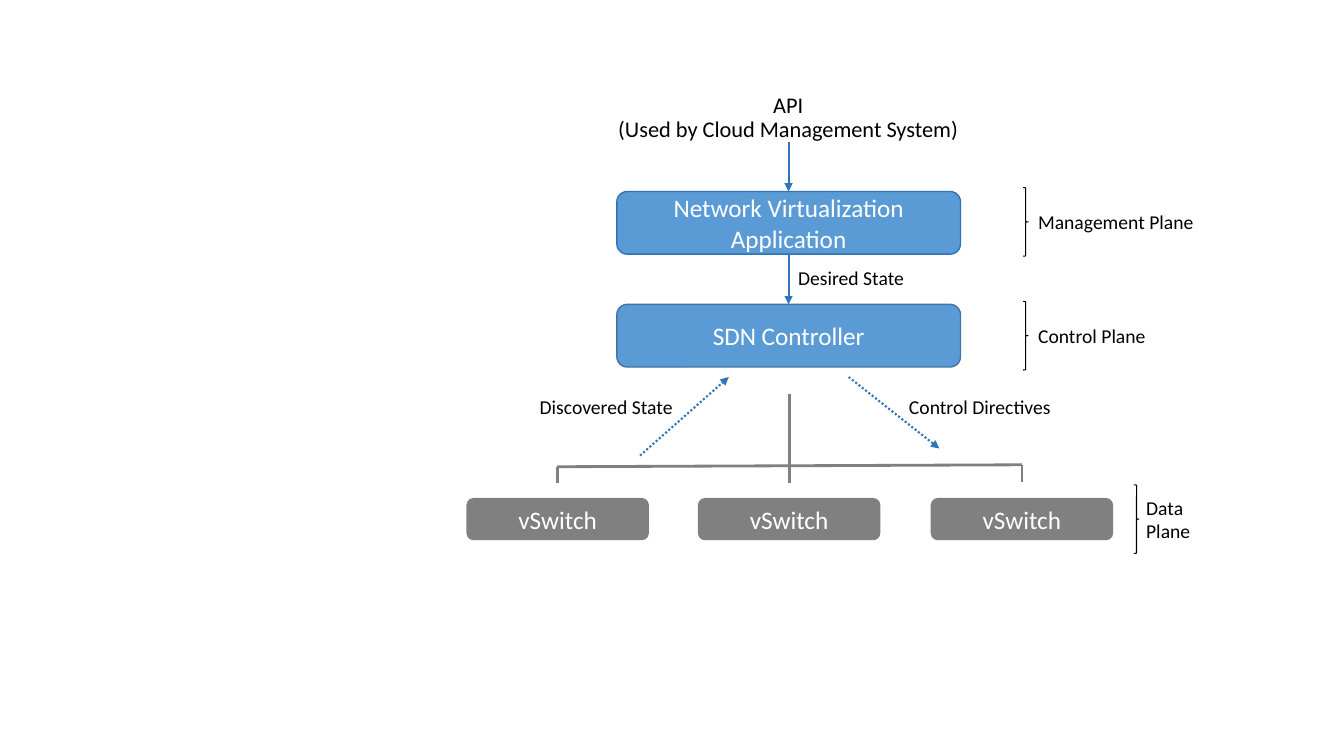
"""Build a slide showing the planes of a software-defined network."""
from lxml import etree
from pptx import Presentation
from pptx.dml.color import RGBColor
from pptx.enum.dml import MSO_LINE
from pptx.enum.shapes import MSO_CONNECTOR, MSO_SHAPE
from pptx.enum.text import MSO_ANCHOR, PP_ALIGN
from pptx.oxml.ns import qn
from pptx.util import Pt

BLACK = RGBColor(0x00, 0x00, 0x00)
WHITE = RGBColor(0xFF, 0xFF, 0xFF)
GRAY = RGBColor(0x80, 0x80, 0x80)
BLUE = RGBColor(0x5B, 0x9B, 0xD5)
ARROW_BLUE = RGBColor(0x2E, 0x75, 0xB6)
OUTLINE_BLUE = RGBColor(0x43, 0x73, 0x9E)
LEFT, CENTER, RIGHT = PP_ALIGN.LEFT, PP_ALIGN.CENTER, PP_ALIGN.RIGHT
TOP, MIDDLE = MSO_ANCHOR.TOP, MSO_ANCHOR.MIDDLE
ROUNDED, BRACE = MSO_SHAPE.ROUNDED_RECTANGLE, MSO_SHAPE.RIGHT_BRACE
STRAIGHT = MSO_CONNECTOR.STRAIGHT
DOTTED = MSO_LINE.ROUND_DOT


def write_text(shape, text, size=14, color=BLACK, align=LEFT, anchor=MIDDLE,
               wrap=True, inset=3.6, spacing=None):
    frame = shape.text_frame
    frame.word_wrap = wrap
    frame.vertical_anchor = anchor
    frame.margin_top = frame.margin_bottom = Pt(inset)
    frame.text = text
    for paragraph in frame.paragraphs:
        paragraph.alignment = align
        paragraph.line_spacing = spacing
        paragraph.font.name = "Calibri"
        paragraph.font.size = Pt(size)
        paragraph.font.color.rgb = color


def add_line(start, end, color, width, dash=None, arrow=False):
    connector = slide.shapes.add_connector(STRAIGHT, *map(Pt, start + end))
    connector.line.color.rgb = color
    connector.line.width = Pt(width)
    if dash:
        connector.line.dash_style = dash
    if arrow:
        line_element = connector.line._get_or_add_ln()
        etree.SubElement(line_element, qn("a:tailEnd"), type="triangle")
    etree.SubElement(connector._element.spPr, qn("a:effectLst"))


presentation = Presentation()
presentation.slide_width = Pt(960)
presentation.slide_height = Pt(540)
slide = presentation.slides.add_slide(presentation.slide_layouts[6])

for start, end in [
    ((564, 281.5), (564, 333)),
    ((730, 332), (398, 333.4)),
    ((398, 333.4), (398, 345)),
    ((564, 333.4), (564, 345)),
    ((730, 332.5), (730, 344)),
]:
    add_line(start, end, GRAY, 2)

for text, left, top, width, height, size, align in [
    ("API\n(Used by Cloud Management System)", 433.5, 67, 259, 34.5, 16, CENTER),
    ("Desired State", 563, 183, 137, 32.4, 14, LEFT),
    ("Discovered State", 350.6, 260.6, 137, 62, 14, RIGHT),
    ("Control Directives", 642.2, 260.6, 137, 62, 14, LEFT),
]:
    label = slide.shapes.add_textbox(Pt(left), Pt(top), Pt(width), Pt(height))
    write_text(label, text, size=size, align=align, inset=7.2, spacing=0.9)

for text, left, top, width, height, fill, outline in [
    ("Network Virtualization Application", 440.6, 136.8, 245.5, 44.8, BLUE, ARROW_BLUE),
    ("SDN Controller", 440.6, 217.4, 245.5, 44.8, BLUE, OUTLINE_BLUE),
    ("vSwitch", 333.2, 355.7, 130.3, 30.2, GRAY, None),
    ("vSwitch", 498.5, 355.7, 130.3, 30.2, GRAY, None),
    ("vSwitch", 664.8, 355.7, 130.3, 30.2, GRAY, None),
]:
    box = slide.shapes.add_shape(ROUNDED, Pt(left), Pt(top), Pt(width), Pt(height))
    box.shadow.inherit = False
    box.fill.solid()
    box.fill.fore_color.rgb = fill
    if outline:
        box.line.color.rgb = outline
        box.line.width = Pt(1)
    else:
        box.line.fill.background()
    write_text(box, text, size=18, color=WHITE, align=CENTER)

for start, end, dash in [
    ((563.3, 101.5), (563.3, 136.8), None),
    ((563.3, 181.6), (563.3, 217.4), None),
    ((606.2, 269.3), (671, 320.4), DOTTED),
    ((457.2, 325.4), (520.6, 269.3), DOTTED),
]:
    add_line(start, end, ARROW_BLUE, 1.5, dash=dash, arrow=True)

for text, brace_left, brace_top, left, top, width, height in [
    ("Management Plane", 730.8, 134, 734.4, 146.2, 126.7, 24.5),
    ("Control Plane", 730.8, 215.3, 734.4, 227.5, 92.2, 24.5),
    ("Data\nPlane", 810, 346.3, 811.6, 350.6, 46.8, 41),
]:
    brace = slide.shapes.add_shape(BRACE, Pt(brace_left), Pt(brace_top), Pt(3.6), Pt(49))
    brace.shadow.inherit = False
    brace.fill.background()
    brace.line.color.rgb = BLACK
    brace.line.width = Pt(0.75)
    label = slide.shapes.add_textbox(Pt(left), Pt(top), Pt(width), Pt(height))
    write_text(label, text, anchor=TOP, wrap=False)

presentation.save("out.pptx")
